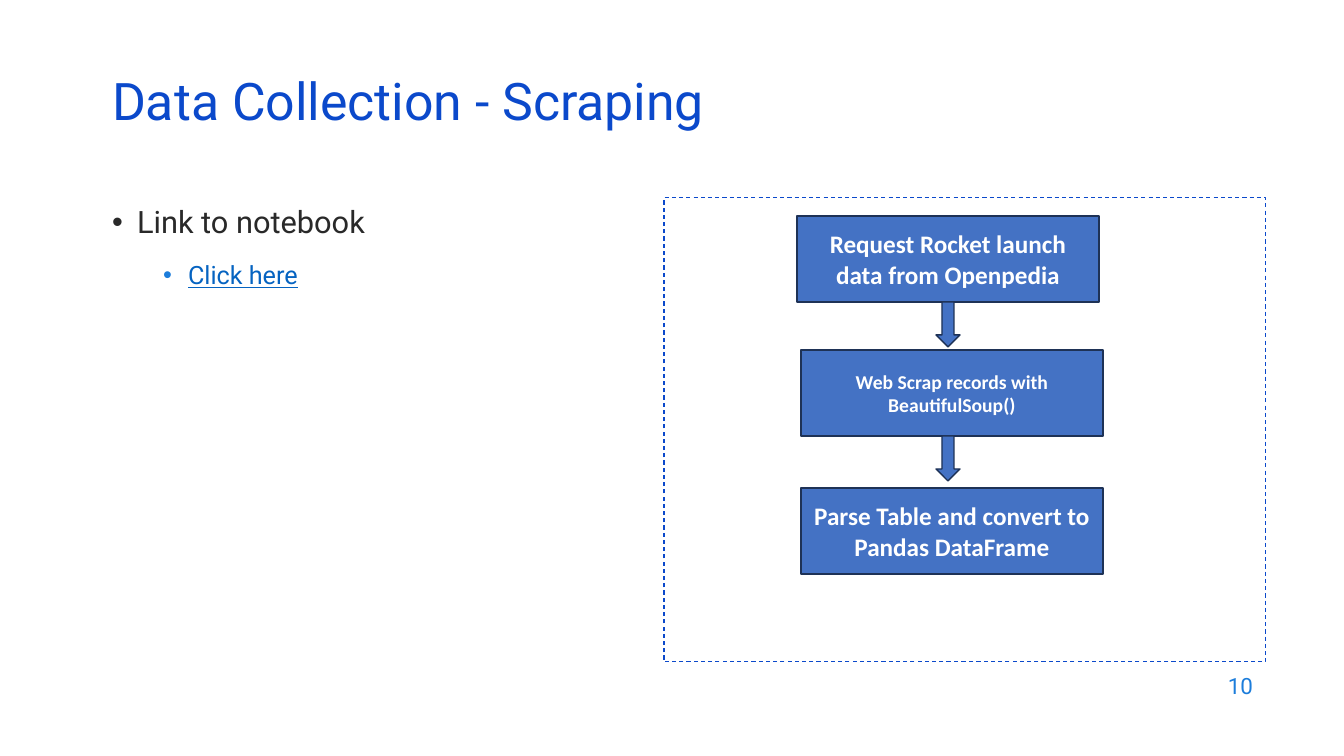
from lxml.etree import SubElement
from pptx import Presentation
from pptx.dml.color import RGBColor
from pptx.enum.dml import MSO_LINE
from pptx.enum.shapes import MSO_SHAPE
from pptx.enum.text import MSO_ANCHOR, MSO_AUTO_SIZE, PP_ALIGN
from pptx.oxml.ns import qn
from pptx.util import Pt

PX = 12192000 / 1344  # EMU in one px

TITLE = "Data Collection - Scraping"
PAGE_NUMBER = "10"
# text, level, indent px, size, text colour, bullet colour, underline
BULLETS = [
    ("Link to notebook", 0, 25, 22, "292929", "292929", False),
    ("Click here", 1, 76, 18, "0563C1", "1C7DDB", True),
]
# text, left px, top px, size
STEPS = [
    ("Request Rocket launch data from Openpedia", 797, 216, 18),
    ("Web Scrap records with BeautifulSoup()", 801, 350, 14),
    ("Parse Table and convert to Pandas DataFrame", 801, 488, 18),
]
STEP_WIDTH, STEP_HEIGHT = 302, 86
ARROW_LEFT, ARROW_WIDTH, ARROW_HEIGHT = 936, 24, 45


def px(length):
    return round(length * PX)


def color(value):
    return RGBColor.from_string(value)


def place(shape, left, top, width, height):
    shape.left, shape.top = px(left), px(top)
    shape.width, shape.height = px(width), px(height)


def style(paragraph, size, fill, font="Roboto", bold=False, underline=False):
    for span in paragraph.runs:
        span.font.name = font
        span.font.size = Pt(size)
        span.font.bold = bold
        span.font.underline = underline
        span.font.color.rgb = color(fill)


def add_bullet(paragraph, indent, fill):
    properties = paragraph._p.get_or_add_pPr()
    properties.set("marL", str(px(indent)))
    properties.set("indent", str(-px(25)))
    bullet_color = SubElement(properties, qn("a:buClr"))
    SubElement(bullet_color, qn("a:srgbClr"), val=fill)
    SubElement(properties, qn("a:buFont"), typeface="Arial")
    SubElement(properties, qn("a:buChar"), char="•")


def add_block(page, kind, left, top, width, height):
    block = page.shapes.add_shape(kind, px(left), px(top), px(width), px(height))
    block.shadow.inherit = False
    block.fill.solid()
    block.fill.fore_color.rgb = color("4472C4")
    block.line.color.rgb = color("1E3256")
    block.line.width = Pt(1)
    return block


def add_heading(page):
    title = page.shapes.title
    place(title, 102, 77, 1159, 60)
    frame = title.text_frame
    frame.text = TITLE
    frame.auto_size = MSO_AUTO_SIZE.NONE
    frame.vertical_anchor = MSO_ANCHOR.MIDDLE
    paragraph = frame.paragraphs[0]
    paragraph.alignment = PP_ALIGN.LEFT
    paragraph.line_spacing = 0.7
    style(paragraph, 37, "0B49CB")


def add_list(page):
    body = page.placeholders[1]
    place(body, 102, 198, 433, 420)
    frame = body.text_frame
    frame.text = "\n".join(item[0] for item in BULLETS)
    frame.auto_size = MSO_AUTO_SIZE.NONE
    for index, (paragraph, item) in enumerate(zip(frame.paragraphs, BULLETS)):
        _, level, indent, size, fill, bullet_fill, underline = item
        paragraph.level = level
        add_bullet(paragraph, indent, bullet_fill)
        paragraph.space_before = Pt(14 if index else 0)
        style(paragraph, size, fill, underline=underline)


def add_flow(page):
    border = add_block(page, MSO_SHAPE.RECTANGLE, 664, 198, 602, 464)
    border.fill.background()
    border.line.color.rgb = color("0B49CB")
    border.line.width = Pt(0.75)
    border.line.dash_style = MSO_LINE.DASH

    for index, (text, left, top, size) in enumerate(STEPS):
        step = add_block(page, MSO_SHAPE.RECTANGLE, left, top, STEP_WIDTH, STEP_HEIGHT)
        frame = step.text_frame
        frame.text = text
        frame.word_wrap = True
        frame.vertical_anchor = MSO_ANCHOR.MIDDLE
        frame.paragraphs[0].alignment = PP_ALIGN.CENTER
        style(frame.paragraphs[0], size, "FFFFFF", "Calibri", bold=True)
        if index < len(STEPS) - 1:
            add_block(page, MSO_SHAPE.DOWN_ARROW, ARROW_LEFT, top + STEP_HEIGHT,
                      ARROW_WIDTH, ARROW_HEIGHT)


def add_page_number(page):
    box = page.shapes.add_textbox(px(961), px(664), px(302), px(44))
    frame = box.text_frame
    frame.text = PAGE_NUMBER
    frame.word_wrap = True
    frame.vertical_anchor = MSO_ANCHOR.MIDDLE
    frame.paragraphs[0].alignment = PP_ALIGN.RIGHT
    style(frame.paragraphs[0], 16, "1C7DDB")


def main():
    deck = Presentation()
    deck.slide_width, deck.slide_height = px(1344), px(756)
    page = deck.slides.add_slide(deck.slide_layouts[1])
    add_heading(page)
    add_list(page)
    add_flow(page)
    add_page_number(page)
    deck.save("out.pptx")


if __name__ == "__main__":
    main()
